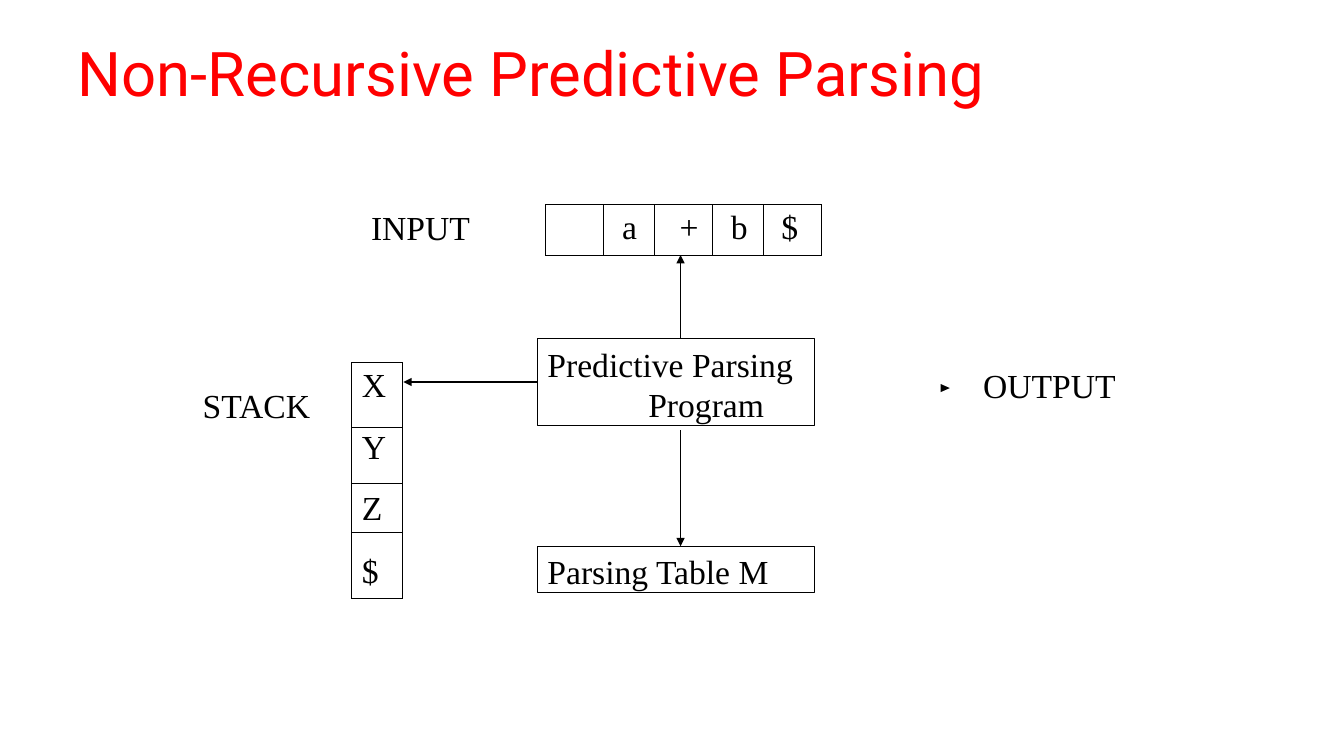
from lxml import etree
from pptx import Presentation
from pptx.dml.color import RGBColor
from pptx.enum.shapes import MSO_CONNECTOR, MSO_SHAPE
from pptx.enum.text import MSO_ANCHOR, MSO_AUTO_SIZE, PP_ALIGN
from pptx.oxml.ns import qn
from pptx.util import Inches, Pt

RECT = MSO_SHAPE.RECTANGLE
LINE = MSO_CONNECTOR.STRAIGHT
TOP = MSO_ANCHOR.TOP
LEFT, MID = PP_ALIGN.LEFT, PP_ALIGN.CENTER
FIXED = MSO_AUTO_SIZE.NONE
COLORS = {"ink": "000000", "title": "FF0000"}
SERIF, SANS = "Times New Roman", "Roboto"


def color(name):
    return RGBColor.from_string(COLORS[name])


class Board:
    def __init__(self, slide):
        self.slide = slide
        self.shapes = slide.shapes

    def fill_text(self, frame, lines, face=SERIF, size=24, ink="ink", align=LEFT):
        frame.text = "\n".join(text for text, _ in lines)
        for para, (_, indent) in zip(frame.paragraphs, lines):
            props = para._p.get_or_add_pPr()
            props.set("marL", str(Inches(indent)))
            props.set("indent", "0")
            para.alignment = align
            para.space_before = Pt(0)
            for run in para.runs:
                run.font.name = face
                run.font.size = Pt(size)
                run.font.color.rgb = color(ink)

    def fit(self, frame, inset, wrap=True):
        frame.margin_left = frame.margin_right = frame.margin_bottom = 0
        frame.margin_top = Inches(inset)
        frame.vertical_anchor = TOP
        frame.auto_size = FIXED
        frame.word_wrap = wrap

    def title(self, text, box):
        head = self.shapes.title
        head.left, head.top, head.width, head.height = map(Inches, box)
        self.fit(head.text_frame, 0.01)
        self.fill_text(head.text_frame, [(text, 0.01)], SANS, 44, "title")

    def label(self, text, box):
        frame = self.shapes.add_textbox(*map(Inches, box)).text_frame
        self.fit(frame, 0.01, False)
        self.fill_text(frame, [(text, 0.01)])

    def box(self, lines, box):
        shape = self.shapes.add_shape(RECT, *map(Inches, box))
        shape.shadow.inherit = False
        shape.fill.background()
        shape.line.color.rgb = color("ink")
        shape.line.width = Pt(0.75)
        self.fit(shape.text_frame, 0.05)
        self.fill_text(shape.text_frame, lines)
        return shape

    def arrow(self, start, end):
        link = self.shapes.add_connector(LINE, *map(Inches, start + end))
        link.line.color.rgb = color("ink")
        link.line.width = Pt(1)
        etree.SubElement(link.line._get_or_add_ln(), qn("a:tailEnd"), type="triangle")
        etree.SubElement(link._element.spPr, qn("a:effectLst"))
        return link

    def outline(self, points):
        spots = [(Inches(x), Inches(y)) for x, y in points]
        pen = self.shapes.build_freeform(*spots[0])
        pen.add_line_segments(spots[1:], close=True)
        shape = pen.convert_to_shape()
        shape.shadow.inherit = False
        shape.fill.solid()
        shape.fill.fore_color.rgb = color("ink")
        shape.line.fill.background()

    def border(self, cell):
        props = cell._tc.get_or_add_tcPr()
        for spot, side in enumerate(("lnL", "lnR", "lnT", "lnB")):
            edge = etree.Element(qn("a:" + side), w=str(Pt(0.75)))
            fill = etree.SubElement(edge, qn("a:solidFill"))
            etree.SubElement(fill, qn("a:srgbClr"), val=COLORS["ink"])
            props.insert(spot, edge)

    def table(self, place, widths, heights, items):
        size = (sum(widths), sum(heights))
        frame = self.shapes.add_table(len(heights), len(widths), *map(Inches, place + size))
        grid = frame.table
        grid.first_row = grid.horz_banding = False
        for col, width in zip(grid.columns, widths):
            col.width = Inches(width)
        for row, height in zip(grid.rows, heights):
            row.height = Inches(height)
        for cell, (text, indent, inset, align) in zip(grid.iter_cells(), items):
            cell.margin_left = cell.margin_right = cell.margin_bottom = 0
            cell.margin_top = Inches(inset)
            cell.vertical_anchor = TOP
            cell.fill.background()
            self.border(cell)
            if text:
                self.fill_text(cell.text_frame, [(text, indent)], align=align)


def main():
    deck = Presentation()
    deck.slide_width, deck.slide_height = Inches(13.33), Inches(7.5)
    board = Board(deck.slides.add_slide(deck.slide_layouts[5]))

    board.title("Non-Recursive Predictive Parsing", (0.76, 0.34, 9.73, 0.75))
    parser = board.box([("Predictive Parsing", 0.1), ("Program", 1.1)], (5.33, 3.36, 2.75, 0.86))
    board.box([("Parsing Table M", 0.1)], (5.33, 5.42, 2.75, 0.46))

    board.table((5.41, 2.03), (0.58, 0.5, 0.58, 0.5, 0.58), (0.5,), [
        ("", 0, 0.05, LEFT),
        ("a", 0.01, 0.05, MID),
        ("+", 0.25, 0.05, LEFT),
        ("b", 0.18, 0.05, LEFT),
        ("$", 0.18, 0.05, LEFT),
    ])
    stack = zip("XYZ$", (0.05, 0.02, 0.07, 0.21))
    board.table((3.49, 3.6), (0.5,), (0.64, 0.56, 0.48, 0.66),
                [(text, 0.1, inset, LEFT) for text, inset in stack])

    board.outline([(9.33, 3.81), (9.33, 3.89), (9.42, 3.85)])
    board.arrow((6.75, 4.27), (6.75, 5.42))
    board.arrow((6.75, 3.36), (6.75, 2.53))
    board.arrow((5.33, 3.79), (4, 3.79)).begin_connect(parser, 1)

    board.label("INPUT", (3.67, 2.04, 1.01, 0.43))
    board.label("OUTPUT", (9.74, 3.61, 1.34, 0.43))
    board.label("STACK", (2, 3.81, 1.12, 0.43))
    deck.save("out.pptx")


if __name__ == "__main__":
    main()
